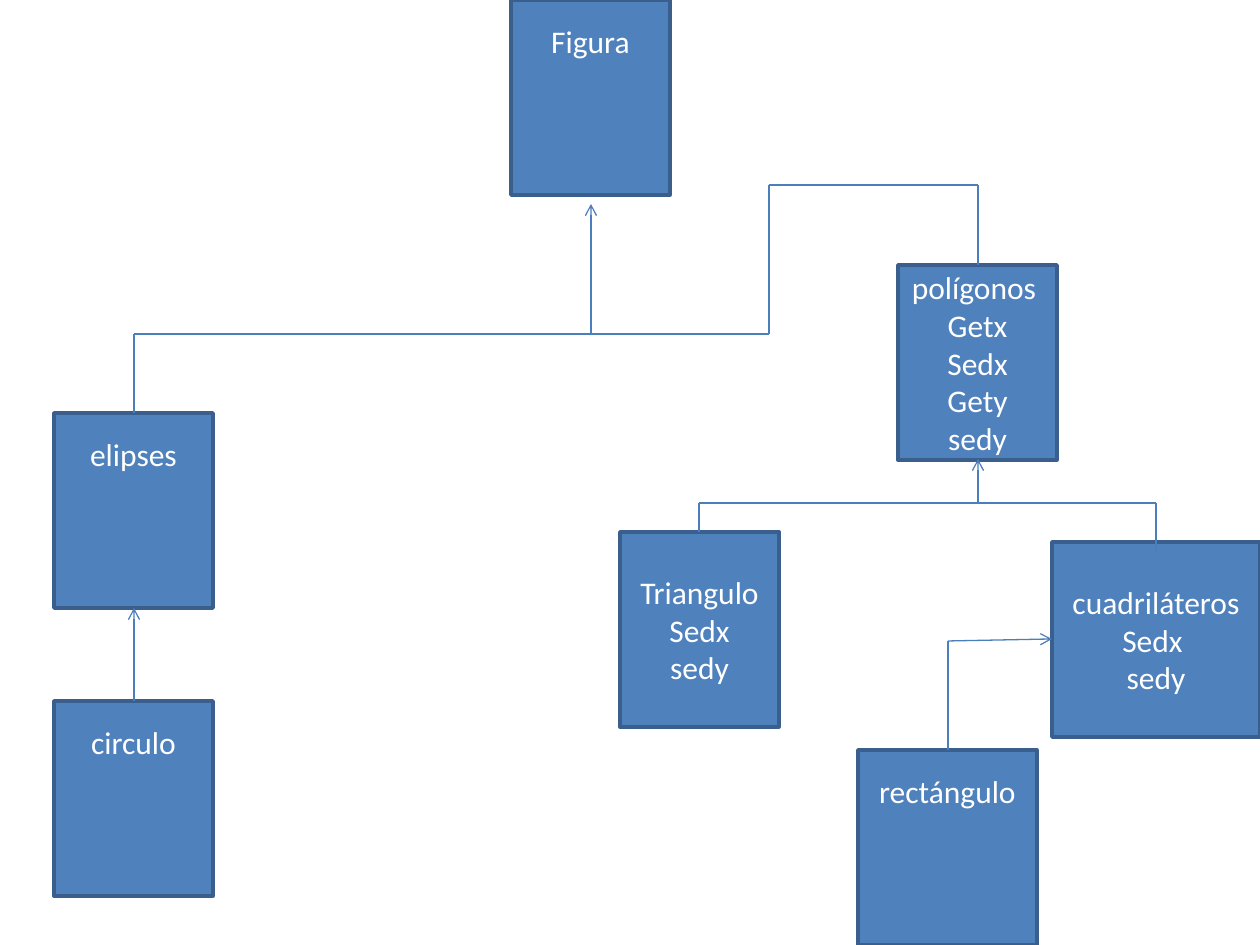
from itertools import pairwise

from lxml import etree
from pptx import Presentation
from pptx.dml.color import RGBColor
from pptx.enum.shapes import MSO_CONNECTOR, MSO_SHAPE
from pptx.enum.text import MSO_ANCHOR, PP_ALIGN
from pptx.oxml.ns import qn
from pptx.util import Emu, Pt

RECTANGLE = MSO_SHAPE.RECTANGLE
STRAIGHT = MSO_CONNECTOR.STRAIGHT
TOP, MIDDLE = MSO_ANCHOR.TOP, MSO_ANCHOR.MIDDLE
CENTER = PP_ALIGN.CENTER

COLORS = {"fill": "4F81BD", "border": "3A5F8C", "link": "4B7EBC", "text": "FFFFFF"}
EMU_PER_PX = 914400 / 126
BOX_WIDTH, BOX_HEIGHT = 159, 195
TITLE_INSET = 22

# left, top, width, lines of text
CLASSES = [
    (511, 0, BOX_WIDTH, ["Figura"]),
    (620, 532, BOX_WIDTH, ["Triangulo", "Sedx", "sedy"]),
    (1052, 542, 208, ["cuadriláteros", "Sedx ", "sedy"]),
    (54, 413, BOX_WIDTH, ["elipses"]),
    (54, 701, BOX_WIDTH, ["circulo"]),
    (858, 750, 179, ["rectángulo"]),
    (898, 265, BOX_WIDTH, ["polígonos ", "Getx", "Sedx", "Gety", "sedy"]),
]

# corner points, whether the last segment ends in an arrowhead
LINKS = [
    ([(134, 413), (134, 334), (769, 334), (769, 185), (978, 185), (978, 265)], False),
    ([(591, 334), (591, 204)], True),
    ([(699, 532), (699, 503), (1156, 503), (1156, 552)], False),
    ([(978, 503), (978, 459)], True),
    ([(948, 750), (948, 641), (1052, 639)], True),
    ([(134, 701), (134, 608)], True),
]


def px(length):
    return Emu(round(length * EMU_PER_PX))


def color(name):
    return RGBColor.from_string(COLORS[name])


class Diagram:
    def __init__(self, page, font="Calibri", size=18):
        self.page = page
        self.font = font
        self.size = size

    def class_box(self, left, top, width, lines):
        """Draw a class; a lone name sits near the top, a list is centred."""
        box = self.page.shapes.add_shape(
            RECTANGLE, px(left), px(top), px(width), px(BOX_HEIGHT)
        )
        box.shadow.inherit = False
        box.fill.solid()
        box.fill.fore_color.rgb = color("fill")
        box.line.color.rgb = color("border")
        box.line.width = Pt(2)
        frame = box.text_frame
        frame.word_wrap = True
        frame.text = "\n".join(lines)
        if len(lines) == 1:
            frame.vertical_anchor = TOP
            frame.margin_top = px(TITLE_INSET)
        else:
            frame.vertical_anchor = MIDDLE
        for paragraph in frame.paragraphs:
            paragraph.alignment = CENTER
            for span in paragraph.runs:
                span.font.name = self.font
                span.font.size = Pt(self.size)
                span.font.color.rgb = color("text")

    def segment(self, start, end, arrow=False):
        line = self.page.shapes.add_connector(
            STRAIGHT, px(start[0]), px(start[1]), px(end[0]), px(end[1])
        )
        line.line.color.rgb = color("link")
        line.line.width = Pt(0.75)
        properties = line._element.spPr
        if arrow:
            etree.SubElement(properties.find(qn("a:ln")), qn("a:tailEnd"), type="arrow")
        etree.SubElement(properties, qn("a:effectLst"))

    def link(self, points, arrow):
        """Join the points with straight segments."""
        for start, end in pairwise(points):
            self.segment(start, end, arrow and end == points[-1])


def main():
    deck = Presentation()
    deck.slide_width, deck.slide_height = px(1260), px(945)
    diagram = Diagram(deck.slides.add_slide(deck.slide_layouts[6]))
    for item in CLASSES:
        diagram.class_box(*item)
    for points, arrow in LINKS:
        diagram.link(points, arrow)
    deck.save("out.pptx")


if __name__ == "__main__":
    main()
